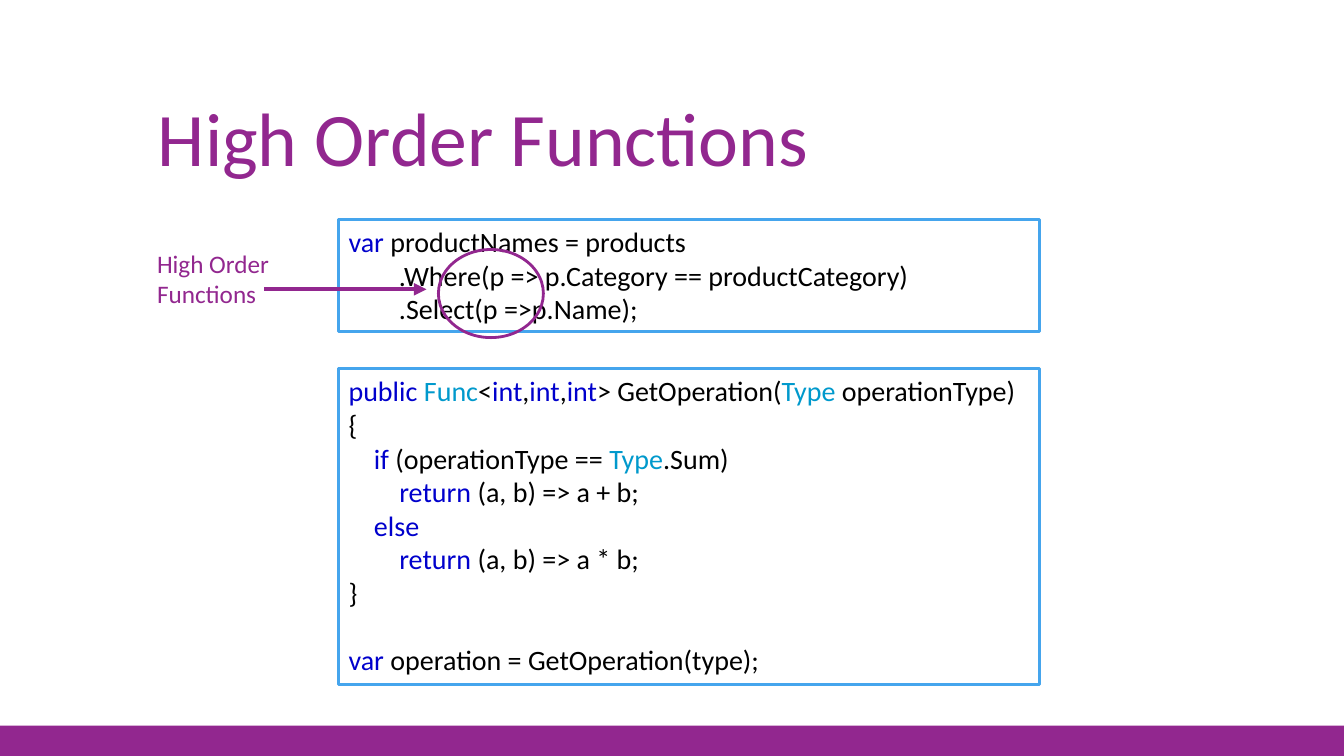
from pptx import Presentation
from pptx.dml.color import RGBColor
from pptx.enum.shapes import MSO_CONNECTOR, MSO_SHAPE
from pptx.enum.text import MSO_ANCHOR, PP_ALIGN
from pptx.oxml.ns import qn
from pptx.util import Inches, Pt
from lxml import etree

RECT, OVAL, LINE = MSO_SHAPE.RECTANGLE, MSO_SHAPE.OVAL, MSO_CONNECTOR.STRAIGHT
TOP, BOTTOM, LEFT = MSO_ANCHOR.TOP, MSO_ANCHOR.BOTTOM, PP_ALIGN.LEFT
PURPLE = RGBColor(0x92, 0x27, 0x8F)
SKY = RGBColor(0x45, 0xA5, 0xED)
BLUE = RGBColor(0x00, 0x00, 0xCC)
TEAL = RGBColor(0x00, 0x99, 0xCC)
BLACK = RGBColor(0, 0, 0)
WHITE = RGBColor(0xFF, 0xFF, 0xFF)
FONT = "Calibri"
WIDTH, HEIGHT = Inches(13.33), Inches(7.5)

QUERY = [
    [("var ", BLUE), "productNames = products"],
    ["\t.Where(p => p.Category == productCategory)"],
    ["\t.Select(p =>p.Name);"],
]
METHOD = [
    [("public ", BLUE), ("Func", TEAL), "<", ("int", BLUE), ",", ("int", BLUE), ",",
     ("int", BLUE), "> GetOperation(", ("Type ", TEAL), "operationType)"],
    ["{"],
    ["    ", ("if ", BLUE), "(operationType == ", ("Type", TEAL), ".Sum)"],
    ["        ", ("return", BLUE), " (a, b) => a + b;"],
    ["    ", ("else", BLUE)],
    ["        ", ("return ", BLUE), "(a, b) => a * b;"],
    ["}"],
    [("var ", BLUE), "operation = GetOperation(type);"],
]


def area(left, top, width, height):
    """Turn percentages of the slide into a box."""
    return (int(WIDTH * left / 100), int(HEIGHT * top / 100),
            int(WIDTH * width / 100), int(HEIGHT * height / 100))


def inner(box, left, top, width=0, height=0):
    """Return the part of a box given by shares of its size."""
    x, y, w, h = box
    return int(x + w * left), int(y + h * top), int(w * width), int(h * height)


def write(frame, lines, size=20, color=BLACK, anchor=TOP, wrap=True, spacing=None):
    """Write lines of plain or coloured pieces in a text frame."""
    frame.word_wrap = wrap
    frame.vertical_anchor = anchor
    for i, line in enumerate(lines):
        para = frame.paragraphs[0] if i == 0 else frame.add_paragraph()
        para.alignment = LEFT
        para.line_spacing = spacing
        for piece in line:
            text, tint = (piece, color) if isinstance(piece, str) else piece
            run = para.add_run()
            run.text = text
            run.font.name = FONT
            run.font.size = Pt(size)
            run.font.color.rgb = tint


def draw(slide, kind, box, fill=None, line=None):
    """Add a flat shape with an optional fill and outline."""
    shape = slide.shapes.add_shape(kind, *box)
    shape.shadow.inherit = False
    if fill is None:
        shape.fill.background()
    else:
        shape.fill.solid()
        shape.fill.fore_color.rgb = fill
    if line is None:
        shape.line.fill.background()
    else:
        shape.line.color.rgb = line
        shape.line.width = Pt(2)
    return shape


def head(slide, box):
    """Place the slide title."""
    title = slide.shapes.title
    title.left, title.top, title.width, title.height = box
    write(title.text_frame, [["High Order Functions"]], size=54, color=PURPLE,
          anchor=BOTTOM, spacing=0.9)


def code(slide, box, lines):
    """Place a framed code listing."""
    panel = draw(slide, RECT, box, fill=WHITE, line=SKY)
    write(panel.text_frame, lines)
    return panel


def arrow(slide, start, end):
    """Add a purple arrow between two points."""
    link = slide.shapes.add_connector(LINE, *start, *end)
    link.line.color.rgb = PURPLE
    link.line.width = Pt(3)
    etree.SubElement(link.line._get_or_add_ln(), qn("a:tailEnd"), type="triangle")
    etree.SubElement(link._element.spPr, qn("a:effectLst"))


def callout(slide, box):
    """Place a label whose arrow leads to a ring."""
    arrow(slide, inner(box, 0.295, 0.49)[:2], inner(box, 0.705, 0.49)[:2])
    label = slide.shapes.add_textbox(*inner(box, 0, 0, 0.34, 0.76))
    write(label.text_frame, [["High Order"], ["Functions"]], size=18,
          color=PURPLE, wrap=False)
    draw(slide, OVAL, inner(box, 0.735, 0.07, 0.265, 0.93), line=PURPLE)


def main():
    """Build and save the slide."""
    deck = Presentation()
    deck.slide_width, deck.slide_height = WIDTH, HEIGHT
    slide = deck.slides.add_slide(deck.slide_layouts[5])
    draw(slide, RECT, area(0, 96, 100, 4), fill=PURPLE)
    head(slide, area(11, 6.8, 78, 18))
    code(slide, area(25.2, 29.07, 52.14, 14.8), QUERY)
    method = code(slide, area(25.2, 48.8, 52.14, 41.73), METHOD)
    method.text_frame.paragraphs[-1].space_before = Pt(24)
    callout(slide, area(10.95, 32.13, 29.48, 12.53))
    deck.save("out.pptx")


if __name__ == "__main__":
    main()
